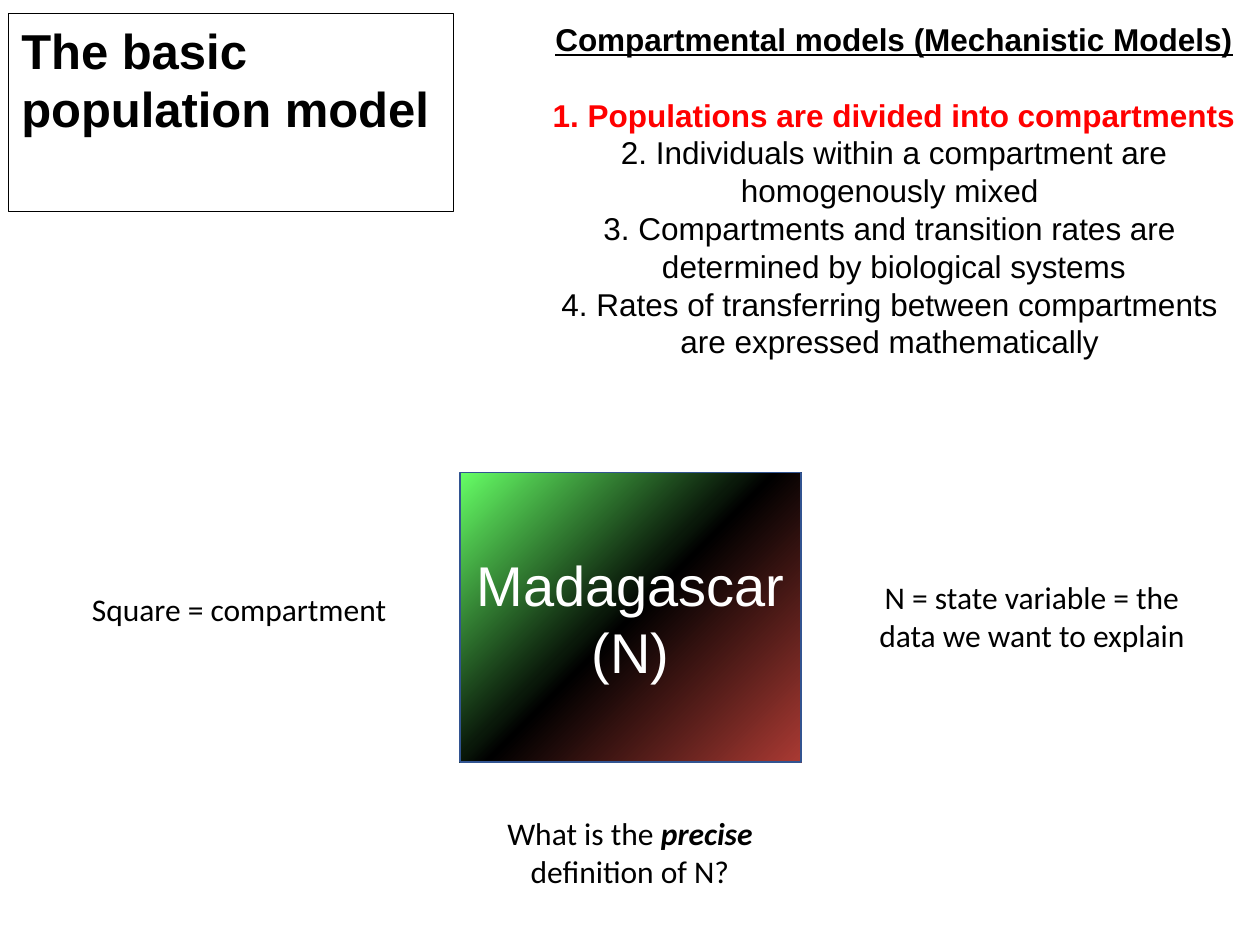
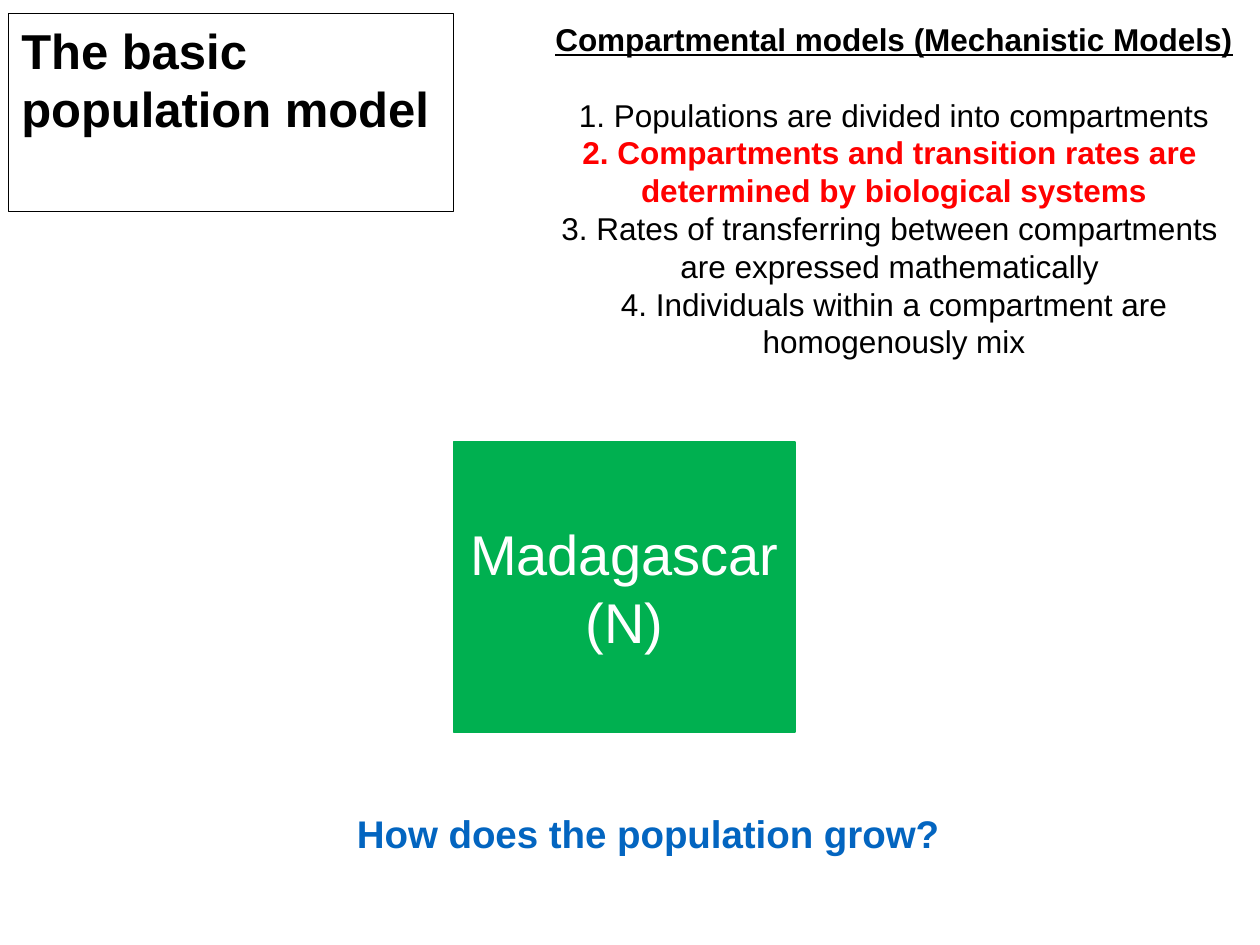
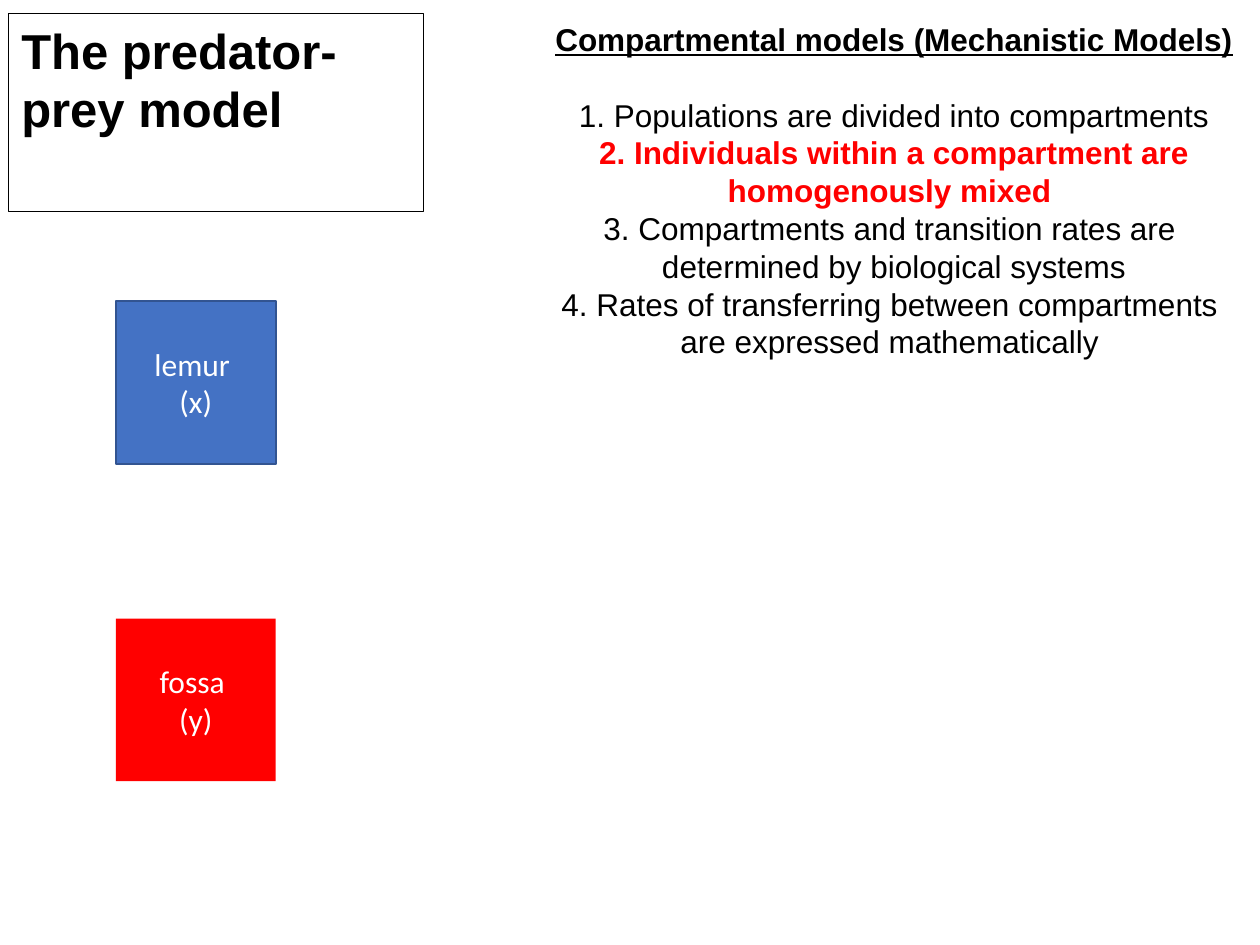
from dataclasses import dataclass
from typing import Optional

from lxml import etree
from pptx import Presentation
from pptx.dml.color import RGBColor
from pptx.enum.shapes import MSO_SHAPE
from pptx.enum.text import MSO_ANCHOR, MSO_AUTO_SIZE, PP_ALIGN
from pptx.oxml.ns import qn
from pptx.util import Pt

RECTANGLE = MSO_SHAPE.RECTANGLE
TOP, MIDDLE = MSO_ANCHOR.TOP, MSO_ANCHOR.MIDDLE
GROW = MSO_AUTO_SIZE.SHAPE_TO_FIT_TEXT
LEFT, CENTER = PP_ALIGN.LEFT, PP_ALIGN.CENTER
TITLE_ONLY = 5


@dataclass(frozen=True)
class Theme:
    heading_font: str = "Arial"
    note_font: str = "Calibri"
    black: str = "000000"
    white: str = "FFFFFF"
    red: str = "FF0000"
    green: str = "00B050"
    blue: str = "4472C4"
    outline: str = "325491"
    question: str = "0365C0"
    # Position in percent and colour, from the top left corner
    island: tuple = ((0, "66FF66"), (45, "0A190A"), (50, "000000"), (100, "AA3A33"))
    title_size: float = 28
    body_size: float = 18
    island_size: float = 32
    question_size: float = 22
    heading_gap: float = 21.6


@dataclass(frozen=True)
class Box:
    left: float
    top: float
    width: float
    height: float

    def lengths(self) -> tuple:
        return Pt(self.left), Pt(self.top), Pt(self.width), Pt(self.height)


@dataclass(frozen=True)
class Compartment:
    box: Box
    lines: tuple
    fill: Optional[str] = None  # None takes the island gradient
    line: Optional[str] = None
    font: str = "Calibri"
    size: float = 18


THEME = Theme()

# The modelling principles; each entry lists its paragraphs
DIVIDED = ("Populations are divided into compartments",)
MIXED = ("Individuals within a compartment are homogenously mixed ",)
MIX = ("Individuals within a compartment are homogenously mix",)
SYSTEMS = ("Compartments and transition rates are ", "determined by biological systems")
RATES = ("Rates of transferring between compartments ", "are expressed mathematically ")

PRINCIPLES_BOX = Box(301.7, 7.9, 418.3, 203.8)
BASIC_TITLE = ("The basic ", "population model")
BASIC_TITLE_WIDTH = 254.2
ISLAND_LINES = ("Madagascar", "(N)")
ISLAND_WIDTH, ISLAND_HEIGHT = 195.1, 165.6
NOTE_WIDTH = 217.4


# Text
def write(frame, text: str, *, font: str = THEME.note_font, size: float = THEME.body_size,
          color: str = THEME.black, bold: bool = False, italic: bool = False,
          underline: bool = False, align=CENTER, space_before: float = 0,
          new_line: bool = True) -> None:
    paragraph = frame.paragraphs[-1]
    if new_line and paragraph.runs:
        paragraph = frame.add_paragraph()
    if new_line:
        paragraph.alignment = align
        paragraph.space_before = Pt(space_before)
    run = paragraph.add_run()
    run.text = text
    run.font.name = font
    run.font.size = Pt(size)
    run.font.bold, run.font.italic, run.font.underline = bold, italic, underline
    run.font.color.rgb = RGBColor.from_string(color)


def add_text_frame(slide, box: Box, wrap: bool = True):
    frame = slide.shapes.add_textbox(*box.lengths()).text_frame
    frame.word_wrap = wrap
    frame.auto_size = GROW
    return frame


# Parts shared by the slides
def set_title(slide, lines: tuple, width: float) -> None:
    title = slide.shapes.title
    title.left, title.top, title.width, title.height = Box(5, 7.9, width, 74.9).lengths()
    title.line.color.rgb = RGBColor.from_string(THEME.black)
    title.line.width = Pt(0.75)
    frame = title.text_frame
    frame.word_wrap = True
    frame.auto_size = GROW
    frame.vertical_anchor = TOP
    for line in lines:
        write(frame, line, font=THEME.heading_font, size=THEME.title_size,
              bold=True, align=LEFT)


def add_principles(slide, principles: tuple, current: tuple) -> None:
    frame = add_text_frame(slide, PRINCIPLES_BOX)
    write(frame, "Compartmental models (Mechanistic Models)",
          font=THEME.heading_font, bold=True, underline=True)
    for number, principle in enumerate(principles, 1):
        active = principle is current
        for row, line in enumerate(principle):
            write(frame, line if row else f"{number}. {line}", font=THEME.heading_font,
                  color=THEME.red if active else THEME.black, bold=active,
                  space_before=THEME.heading_gap if number == 1 else 0)


def fill_with_gradient(shape, stops: tuple) -> None:
    shape.fill.gradient()
    shape.fill.gradient_angle = 315
    stop_list = next(shape._element.spPr.iter(qn("a:gsLst")))
    for default_stop in list(stop_list):
        stop_list.remove(default_stop)
    for percent, color in stops:
        stop = etree.SubElement(stop_list, qn("a:gs"), pos=str(percent * 1000))
        etree.SubElement(stop, qn("a:srgbClr"), val=color)


def add_compartment(slide, compartment: Compartment) -> None:
    square = slide.shapes.add_shape(RECTANGLE, *compartment.box.lengths())
    square.shadow.inherit = False
    if compartment.fill:
        square.fill.solid()
        square.fill.fore_color.rgb = RGBColor.from_string(compartment.fill)
    else:
        fill_with_gradient(square, THEME.island)
    if compartment.line:
        square.line.color.rgb = RGBColor.from_string(compartment.line)
        square.line.width = Pt(1)
    else:
        square.line.fill.background()
    frame = square.text_frame
    frame.word_wrap = True
    frame.vertical_anchor = MIDDLE
    for line in compartment.lines:
        write(frame, line, font=compartment.font, size=compartment.size, color=THEME.white)


def add_island(slide, left: float, top: float, fill: Optional[str], line: str) -> None:
    add_compartment(slide, Compartment(
        Box(left, top, ISLAND_WIDTH, ISLAND_HEIGHT), ISLAND_LINES, fill, line,
        THEME.heading_font, THEME.island_size))


# Slides
def build_definition(slide) -> None:
    set_title(slide, BASIC_TITLE, BASIC_TITLE_WIDTH)
    add_principles(slide, (DIVIDED, MIXED, SYSTEMS, RATES), DIVIDED)
    add_island(slide, 262.8, 270, None, THEME.outline)

    square_note = add_text_frame(slide, Box(45.4, 333.4, NOTE_WIDTH, 28.8))
    write(square_note, "Square = compartment", align=LEFT)
    variable_note = add_text_frame(slide, Box(481, 326.9, NOTE_WIDTH, 51.1))
    write(variable_note, "N = state variable = the data we want to explain")
    definition_note = add_text_frame(slide, Box(251.3, 461.5, NOTE_WIDTH, 51.1))
    write(definition_note, "What is the ")
    write(definition_note, "precise", bold=True, italic=True, new_line=False)
    write(definition_note, " definition of N?", new_line=False)


def build_growth(slide) -> None:
    set_title(slide, BASIC_TITLE, BASIC_TITLE_WIDTH)
    add_principles(slide, (DIVIDED, SYSTEMS, RATES, MIX), SYSTEMS)
    add_island(slide, 259.2, 252.7, THEME.green, THEME.green)
    question = add_text_frame(slide, Box(194.4, 459.4, 352.1, 33.8), wrap=False)
    write(question, "How does the population grow?", font=THEME.heading_font,
          size=THEME.question_size, color=THEME.question, bold=True)


def build_predator_prey(slide) -> None:
    set_title(slide, ("The predator-prey model",), 236.9)
    add_principles(slide, (DIVIDED, MIXED, SYSTEMS, RATES), MIXED)
    species = (
        Compartment(Box(66.2, 172.1, 91.4, 92.9), ("lemur ", "(x)"), THEME.blue, THEME.outline),
        Compartment(Box(66.2, 353.5, 91.4, 92.9), ("fossa ", "(y)"), THEME.red),
    )
    for compartment in species:
        add_compartment(slide, compartment)


def main() -> None:
    deck = Presentation()
    deck.slide_width, deck.slide_height = Pt(720), Pt(540)
    for build in (build_definition, build_growth, build_predator_prey):
        build(deck.slides.add_slide(deck.slide_layouts[TITLE_ONLY]))
    deck.save("out.pptx")


if __name__ == "__main__":
    main()
